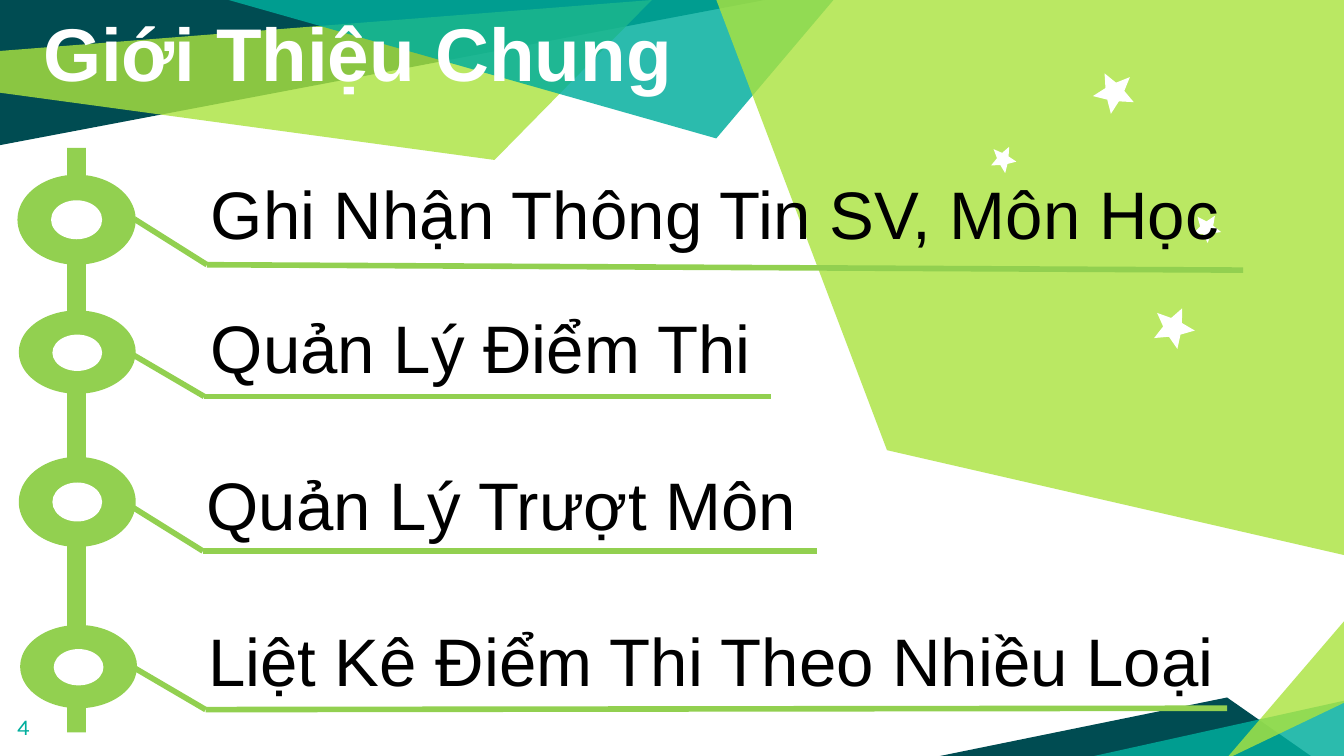
"""Build the overview slide: four topics hung on a vertical timeline."""
import pptx
import pptx.dml.color
import pptx.enum.shapes
import pptx.enum.text
import pptx.oxml.ns
import pptx.util
from lxml import etree

PX = 9144
HOLE_RATIO = 0.43
SHAPES = pptx.enum.shapes.MSO_SHAPE
ANCHORS = pptx.enum.text.MSO_ANCHOR
GREEN, LIME, TEAL, NAVY, WHITE = "92D050", "ABE33F", "00AE9D", "004C52", "FFFFFF"
FACETS = [
    (NAVY, 100, [(0, 0), (0, 108), (569, 0)]),
    (LIME, 81, [(-1, 38), (0, 69), (368, 119), (485, 0)]),
    (NAVY, 100, [(697, 563), (976, 563), (913, 519)]),
    (TEAL, 83, [(1002, 521), (1002, 565), (803, 565)]),
    (LIME, 81, [(1002, 522), (1002, 460), (912, 565)]),
    (TEAL, 83, [(170, 0), (533, 103), (621, -1), (609, 0)]),
    (LIME, 81, [(533, 0), (1002, -2), (1000, 413), (660, 335)]),
]
STARS = [
    ((737, 110, 19, 19), 171.4),
    ((813, 53, 31, 29), 332.9),
    ((858, 228, 31, 29), 25.1),
    ((888, 159, 21, 20), 32.9),
]
TOPICS = [
    ("Ghi Nhận Thông Tin SV, Môn Học", (147, 123, 801, 131),
     (13, 130, 88, 67), [(100, 163), (154, 197), (925, 201)]),
    ("Quản Lý Điểm Thi", (147, 223, 589, 71),
     (14, 231, 87, 62), [(99, 264), (152, 295), (574, 295)]),
    ("Quản Lý Trượt Môn", (144, 340, 823, 71),
     (14, 340, 87, 67), [(98, 377), (151, 410), (608, 410)]),
    ("Liệt Kê Điểm Thi Theo Nhiều Loại", (145, 456, 822, 71),
     (15, 465, 87, 62), [(100, 497), (153, 528), (913, 527)]),
]


def px(*lengths):
    """Turn px lengths into EMU."""
    return [pptx.util.Emu(length * PX) for length in lengths]


def paint(color_format, color):
    """Set a colour from a hex string."""
    color_format.rgb = pptx.dml.color.RGBColor.from_string(color)


def fill(shape, color, opacity=100):
    """Give a shape a flat fill with no outline or shadow."""
    shape.shadow.inherit = False
    shape.line.fill.background()
    shape.fill.solid()
    paint(shape.fill.fore_color, color)
    if opacity < 100:
        tint = shape.element.spPr.find(".//" + pptx.oxml.ns.qn("a:srgbClr"))
        alpha = etree.SubElement(tint, pptx.oxml.ns.qn("a:alpha"))
        alpha.set("val", str(opacity * 1000))


def add_facet(slide, color, opacity, corners):
    """Draw one polygon of the background."""
    builder = slide.shapes.build_freeform(*corners[0], scale=PX)
    builder.add_line_segments(corners[1:], close=True)
    fill(builder.convert_to_shape(), color, opacity)


def add_preset(slide, kind, box, color):
    """Add a filled preset shape."""
    shape = slide.shapes.add_shape(kind, *px(*box))
    fill(shape, color)
    return shape


def add_star(slide, box, angle):
    """Add a tilted white star."""
    star = add_preset(slide, SHAPES.STAR_5_POINT, box, WHITE)
    star.adjustments[0] = 0.23
    star.rotation = angle


def add_ring(slide, box):
    """Add a green ring with a white centre."""
    left, top, width, height = box
    hole_width, hole_height = round(width * HOLE_RATIO), round(height * HOLE_RATIO)
    hole_left = left + round((width - hole_width) / 2)
    hole_top = top + round((height - hole_height) / 2)
    add_preset(slide, SHAPES.OVAL, box, GREEN)
    add_preset(slide, SHAPES.OVAL, (hole_left, hole_top, hole_width, hole_height), WHITE)


def add_stroke(slide, start, end):
    """Add a green straight line."""
    stroke = slide.shapes.add_connector(
        pptx.enum.shapes.MSO_CONNECTOR.STRAIGHT, *px(*start, *end))
    paint(stroke.line.color, GREEN)
    stroke.line.width = pptx.util.Pt(3)
    etree.SubElement(stroke.element.spPr, pptx.oxml.ns.qn("a:effectLst"))


def write(holder, text, size, color, font="Arial", bold=False, anchor=ANCHORS.TOP):
    """Write one left-aligned line into a text holder."""
    frame = holder.text_frame
    frame.text = text
    frame.word_wrap = True
    frame.auto_size = pptx.enum.text.MSO_AUTO_SIZE.NONE
    frame.vertical_anchor = anchor
    line = frame.paragraphs[0]
    line.alignment = pptx.enum.text.PP_ALIGN.LEFT
    letters = line.runs[0].font
    letters.name, letters.size, letters.bold = font, pptx.util.Pt(size), bold
    paint(letters.color, color)


def add_topic(slide, text, text_box, ring, route):
    """Add a ring on the timeline, its bent underline and its text."""
    add_ring(slide, ring)
    for start, end in zip(route, route[1:]):
        add_stroke(slide, start, end)
    write(slide.shapes.add_textbox(*px(*text_box)), text, 36, "000000")


def add_title(slide, text, box):
    """Place the title in front of the background facets."""
    title = slide.shapes.title
    title.left, title.top, title.width, title.height = px(*box)
    write(title, text, 40, WHITE, bold=True, anchor=ANCHORS.MIDDLE)
    title.text_frame.paragraphs[0].line_spacing = 0.9
    slide.shapes.element.append(title.element)


def main():
    """Build and save the slide."""
    deck = pptx.Presentation()
    deck.slide_width = px(1000)[0]
    deck.slide_height = pptx.util.Emu(deck.slide_width * 9 // 16)
    slide = deck.slides.add_slide(deck.slide_layouts[5])
    for facet in FACETS:
        add_facet(slide, *facet)
    for star in STARS:
        add_star(slide, *star)
    page_number = slide.shapes.add_textbox(*px(3, 519, 60, 43))
    write(page_number, "4", 12, TEAL, font="Karla", anchor=ANCHORS.MIDDLE)
    add_preset(slide, SHAPES.RECTANGLE, (50, 110, 14, 435), GREEN)
    for topic in TOPICS:
        add_topic(slide, *topic)
    add_title(slide, "Giới Thiệu Chung", (22, -4, 806, 94))
    deck.save("out.pptx")


if __name__ == "__main__":
    main()
